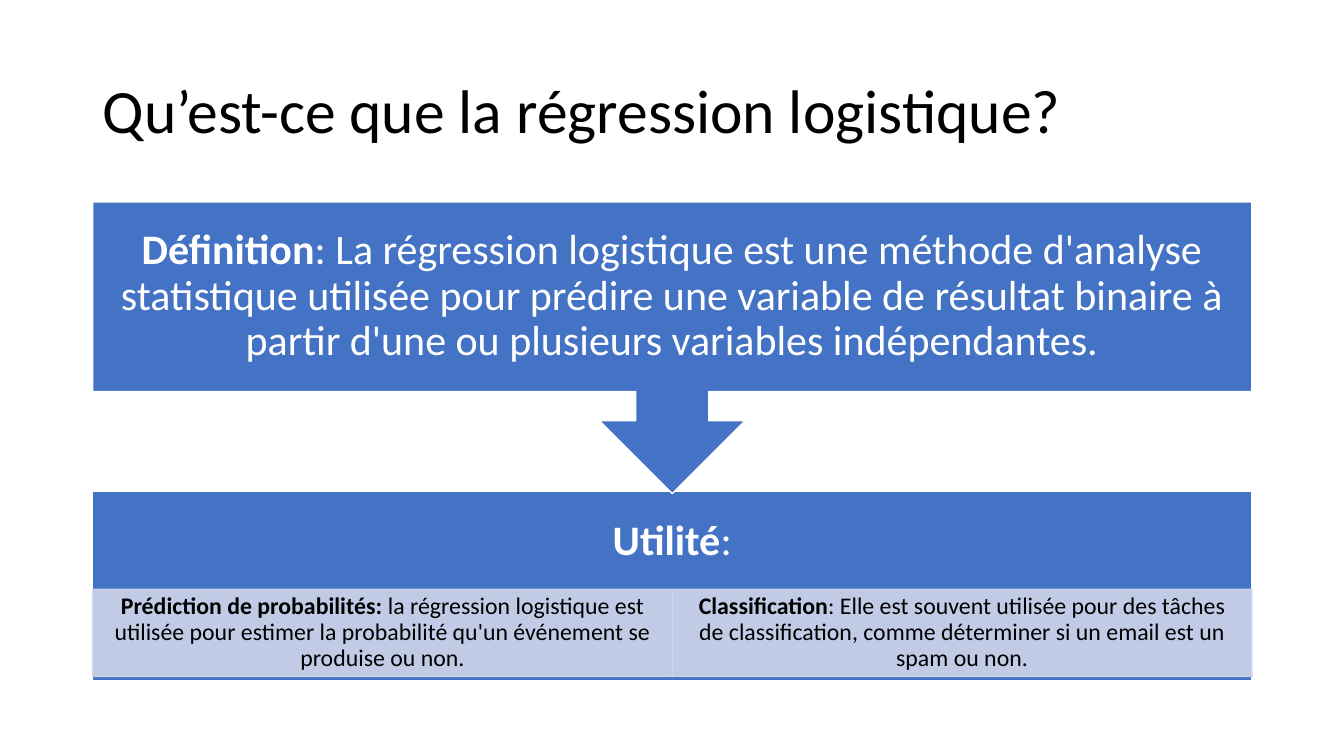
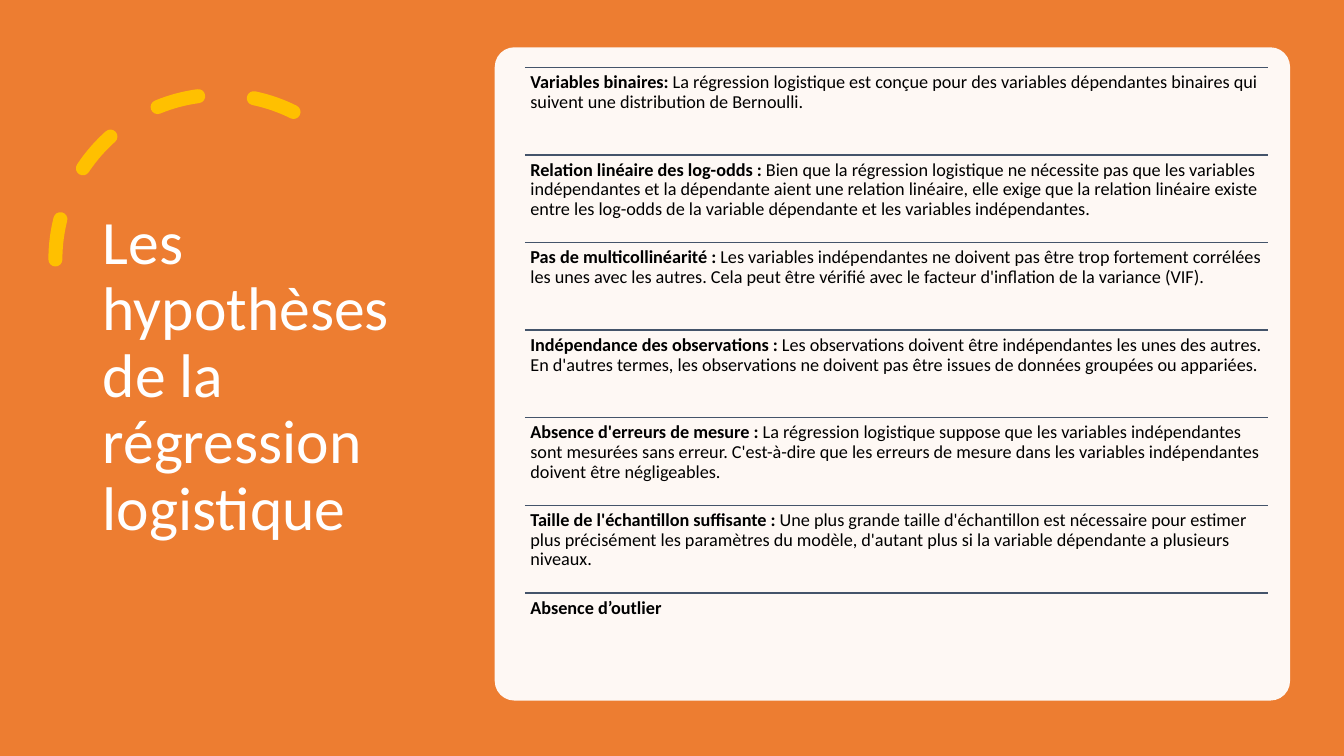
import pptx
import pptx.util
import pptx.dml.color
import pptx.enum.dml
import pptx.enum.shapes
import pptx.enum.text
import pptx.oxml
import pptx.oxml.ns

Pt = pptx.util.Pt
RGBColor = pptx.dml.color.RGBColor
SHAPE = pptx.enum.shapes.MSO_SHAPE
ALIGN = pptx.enum.text.PP_ALIGN
ANCHOR = pptx.enum.text.MSO_ANCHOR

WHITE = RGBColor(0xFF, 0xFF, 0xFF)
BLACK = RGBColor(0x00, 0x00, 0x00)
BLUE = RGBColor(0x44, 0x72, 0xC4)
PALE_BLUE = RGBColor(0xCF, 0xD5, 0xEA)
ORANGE = RGBColor(0xED, 0x7D, 0x31)
GOLD = RGBColor(0xFF, 0xC0, 0x00)
SLATE = RGBColor(0x44, 0x54, 0x6A)

FONT = "Calibri"
LINE_SPACING = 0.9
LEFT = 66.2

DEFINITION = (
    "Définition",
    ": La régression logistique est une méthode d'analyse statistique utilisée pour prédire "
    "une variable de résultat binaire à partir d'une ou plusieurs variables indépendantes.",
)
USES_HEADING = ("Utilité", ":")
USES = [
    ("Prédiction de probabilités: ",
     "la régression logistique est utilisée pour estimer la probabilité qu'un événement se "
     "produise ou non."),
    ("Classification",
     ": Elle est souvent utilisée pour des tâches de classification, comme déterminer si un "
     "email est un spam ou non."),
]
HYPOTHESES = [
    ("Variables binaires:",
     " La régression logistique est conçue pour des variables dépendantes binaires qui suivent "
     "une distribution de Bernoulli."),
    ("Relation linéaire des log-odds :",
     " Bien que la régression logistique ne nécessite pas que les variables indépendantes et la "
     "dépendante aient une relation linéaire, elle exige que la relation linéaire existe entre "
     "les log-odds de la variable dépendante et les variables indépendantes."),
    ("Pas de multicollinéarité :",
     " Les variables indépendantes ne doivent pas être trop fortement corrélées les unes avec "
     "les autres. Cela peut être vérifié avec le facteur d'inflation de la variance (VIF)."),
    ("Indépendance des observations :",
     " Les observations doivent être indépendantes les unes des autres. En d'autres termes, les "
     "observations ne doivent pas être issues de données groupées ou appariées."),
    ("Absence d'erreurs de mesure :",
     " La régression logistique suppose que les variables indépendantes sont mesurées sans "
     "erreur. C'est-à-dire que les erreurs de mesure dans les variables indépendantes doivent "
     "être négligeables."),
    ("Taille de l'échantillon suffisante :",
     " Une plus grande taille d'échantillon est nécessaire pour estimer plus précisément les "
     "paramètres du modèle, d'autant plus si la variable dépendante a plusieurs niveaux."),
    ("Absence d’outlier", ""),
]


def set_all(target, values):
    """Set each named attribute of the target."""
    for name, value in values.items():
        setattr(target, name, value)


def set_opacity(color_format, percent):
    """Make a solid fill or line colour partly transparent."""
    color = color_format._xPr.find(".//" + pptx.oxml.ns.qn("a:srgbClr"))
    alpha = pptx.oxml.parse_xml(
        f'<a:alpha {pptx.oxml.ns.nsdecls("a")} val="{percent * 1000}"/>')
    color.append(alpha)


def write_text(shape, parts, size, color, align, anchor, insets):
    """Write a bold lead and a plain remainder as one paragraph."""
    frame = shape.text_frame
    across, down = Pt(insets[0]), Pt(insets[1])
    set_all(frame, {
        "word_wrap": True, "vertical_anchor": anchor,
        "margin_left": across, "margin_right": across,
        "margin_top": down, "margin_bottom": down,
    })
    para = frame.paragraphs[0]
    set_all(para, {"alignment": align, "line_spacing": LINE_SPACING})
    for text, bold in zip(parts, (True, False)):
        if text:
            span = para.add_run()
            span.text = text
            set_all(span.font, {"name": FONT, "size": Pt(size), "bold": bold})
            span.font.color.rgb = color


def add_text(page, box, *text_format):
    """Add a text box holding a lead and its remainder."""
    write_text(page.shapes.add_textbox(*map(Pt, box)), *text_format)


def add_block(page, kind, box, fill, line=None, opacity=100):
    """Add a filled preset shape, outlined when a line colour is given."""
    block = page.shapes.add_shape(kind, *map(Pt, box))
    block.shadow.inherit = False
    block.fill.solid()
    block.fill.fore_color.rgb = fill
    if line is None:
        block.line.fill.background()
    else:
        block.line.color.rgb = line
        block.line.width = Pt(1)
    if opacity < 100:
        set_opacity(block.fill, opacity)
        if line is not None:
            set_opacity(block.line.fill, opacity)
    return block


def add_titled_page(deck, title, box, color, background):
    """Add a title-only slide with its title placed in the box."""
    page = deck.slides.add_slide(deck.slide_layouts[5])
    page.background.fill.solid()
    page.background.fill.fore_color.rgb = background
    holder = page.shapes.title
    set_all(holder, dict(zip(("left", "top", "width", "height"), map(Pt, box))))
    holder.text_frame.auto_size = pptx.enum.text.MSO_AUTO_SIZE.NONE
    write_text(holder, ("", title), 44, color, ALIGN.LEFT, ANCHOR.MIDDLE, (7.2, 3.6))
    return page


def add_uses(page, box):
    """Draw the lower band: a heading over equal pale cells."""
    left, top, width, height = box
    add_block(page, SHAPE.RECTANGLE, box, BLUE, WHITE)
    add_text(page, (left, top, width, height * 0.54), USES_HEADING,
             30, WHITE, ALIGN.CENTER, ANCHOR.MIDDLE, (16.5, 16.5))
    cell_width = width / len(USES)
    for index, parts in enumerate(USES):
        cell_box = (left + index * cell_width, top + height * 0.52, cell_width, height * 0.46)
        cell = add_block(page, SHAPE.RECTANGLE, cell_box, PALE_BLUE, PALE_BLUE, 90)
        write_text(cell, parts, 17, BLACK, ALIGN.CENTER, ANCHOR.MIDDLE, (9.3, 1.6))


def add_definition(page, box):
    """Draw the upper callout, pointing down, with its text."""
    left, top, width, height = box
    callout = add_block(page, SHAPE.UP_ARROW_CALLOUT, box, BLUE, WHITE)
    callout.rotation = 180
    add_text(page, (left, top, width, height * 0.65), DEFINITION,
             30, WHITE, ALIGN.CENTER, ANCHOR.MIDDLE, (16.5, 16.5))


def add_dashed_arc(page, box):
    """Draw the thick dashed arc with round ends."""
    arc = page.shapes.add_shape(SHAPE.ARC, *map(Pt, box))
    arc.shadow.inherit = False
    arc.adjustments[0] = 146.13
    arc.adjustments[1] = 0
    arc.fill.background()
    arc.line.color.rgb = GOLD
    set_all(arc.line, {"width": Pt(10), "dash_style": pptx.enum.dml.MSO_LINE.DASH})
    arc.line._ln.set("cap", "rnd")
    arc._element.spPr.find(pptx.oxml.ns.qn("a:xfrm")).set("flipH", "1")


def add_rule(page, left, top, width):
    """Draw a thin horizontal line."""
    rule = page.shapes.add_connector(
        pptx.enum.shapes.MSO_CONNECTOR.STRAIGHT, Pt(left), Pt(top), Pt(left + width), Pt(top))
    rule.line.color.rgb = SLATE
    rule.line.width = Pt(1)
    rule._element.spPr.append(
        pptx.oxml.parse_xml(f'<a:effectLst {pptx.oxml.ns.nsdecls("a")}/>'))


def add_hypotheses(page, box):
    """Draw the rounded panel and its equal ruled rows."""
    left, top, width, height = box
    panel = add_block(page, SHAPE.ROUNDED_RECTANGLE, box, WHITE, opacity=95)
    panel.adjustments[0] = 0.03
    row_left, row_width = left + 21.6, width - 37.5
    row_height = (height - 2 * 14.4) / len(HYPOTHESES)
    for index, parts in enumerate(HYPOTHESES):
        row_top = top + 14.4 + index * row_height
        add_rule(page, row_left, row_top, row_width)
        add_text(page, (row_left, row_top, row_width, row_height), parts,
                 13, BLACK, ALIGN.LEFT, ANCHOR.TOP, (3.9, 3.9))


def build_definition_page(deck):
    """Build the slide that defines logistic regression."""
    page = add_titled_page(deck, "Qu’est-ce que la régression logistique?",
                           (LEFT, 28.8, 828, 104.4), BLACK, WHITE)
    add_uses(page, (LEFT, 350.6, 828, 135.4))
    add_definition(page, (LEFT, 144.2, 828, 208.4))


def build_hypotheses_page(deck):
    """Build the slide that lists the hypotheses."""
    page = add_titled_page(deck, "Les hypothèses de la régression logistique",
                           (LEFT, 50.4, 232.6, 438.5), WHITE, ORANGE)
    add_dashed_arc(page, (39.6, 67.7, 235.4, 235.4))
    add_hypotheses(page, (353.4, 33.8, 568.1, 466.6))


def main():
    """Build and save the deck."""
    deck = pptx.Presentation()
    set_all(deck, {"slide_width": Pt(960), "slide_height": Pt(540)})
    build_definition_page(deck)
    build_hypotheses_page(deck)
    deck.save("out.pptx")


if __name__ == "__main__":
    main()
